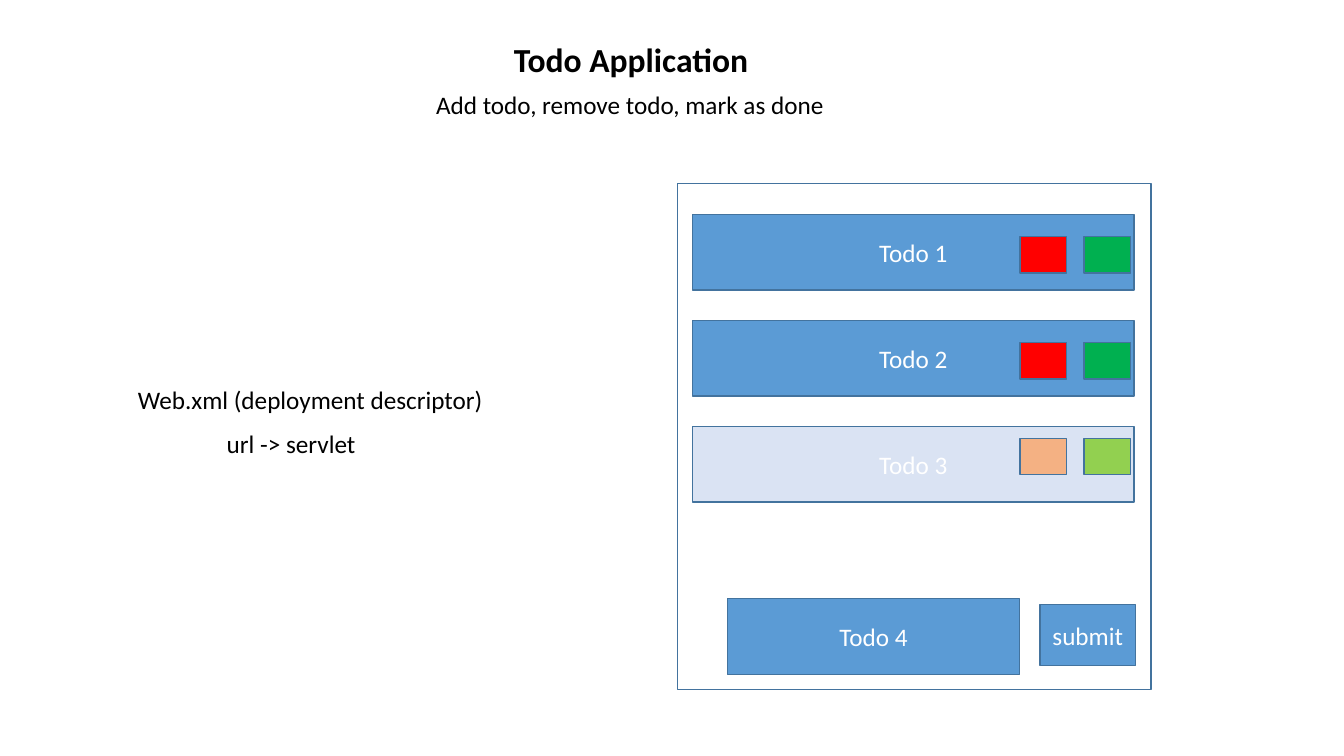
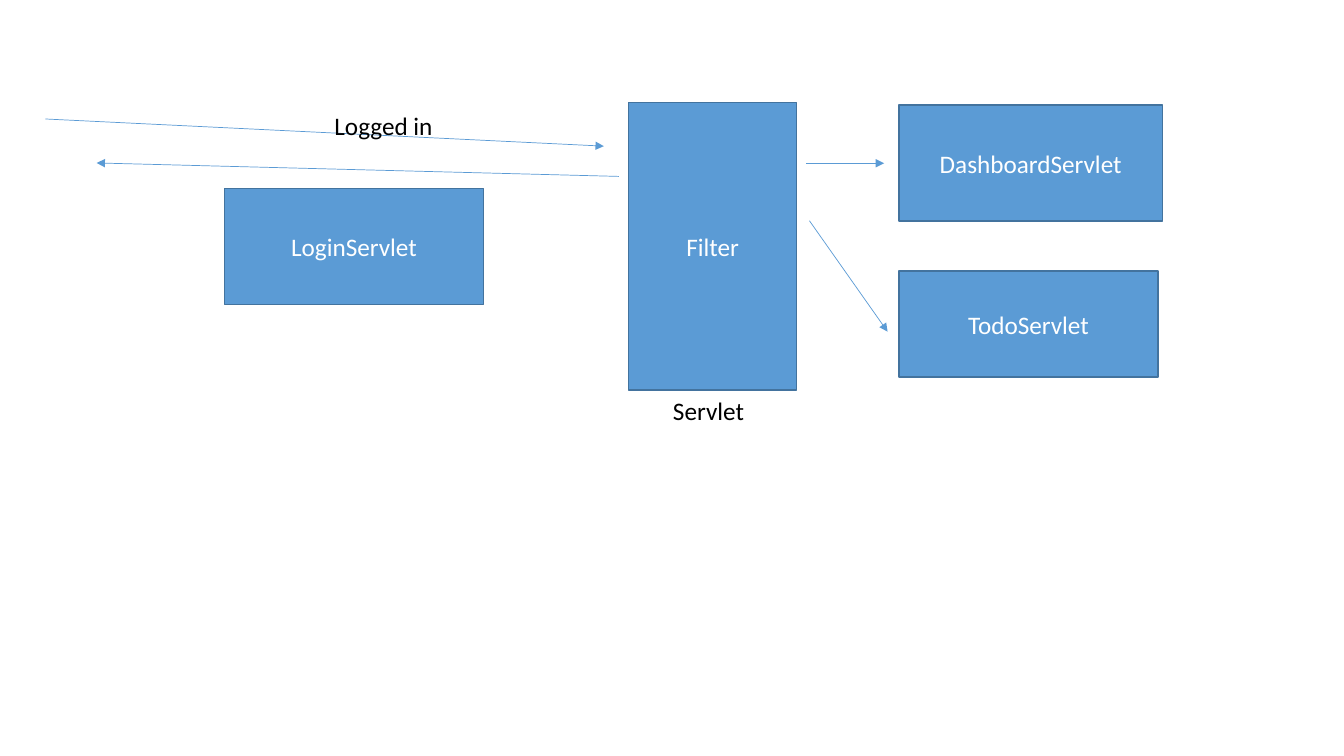
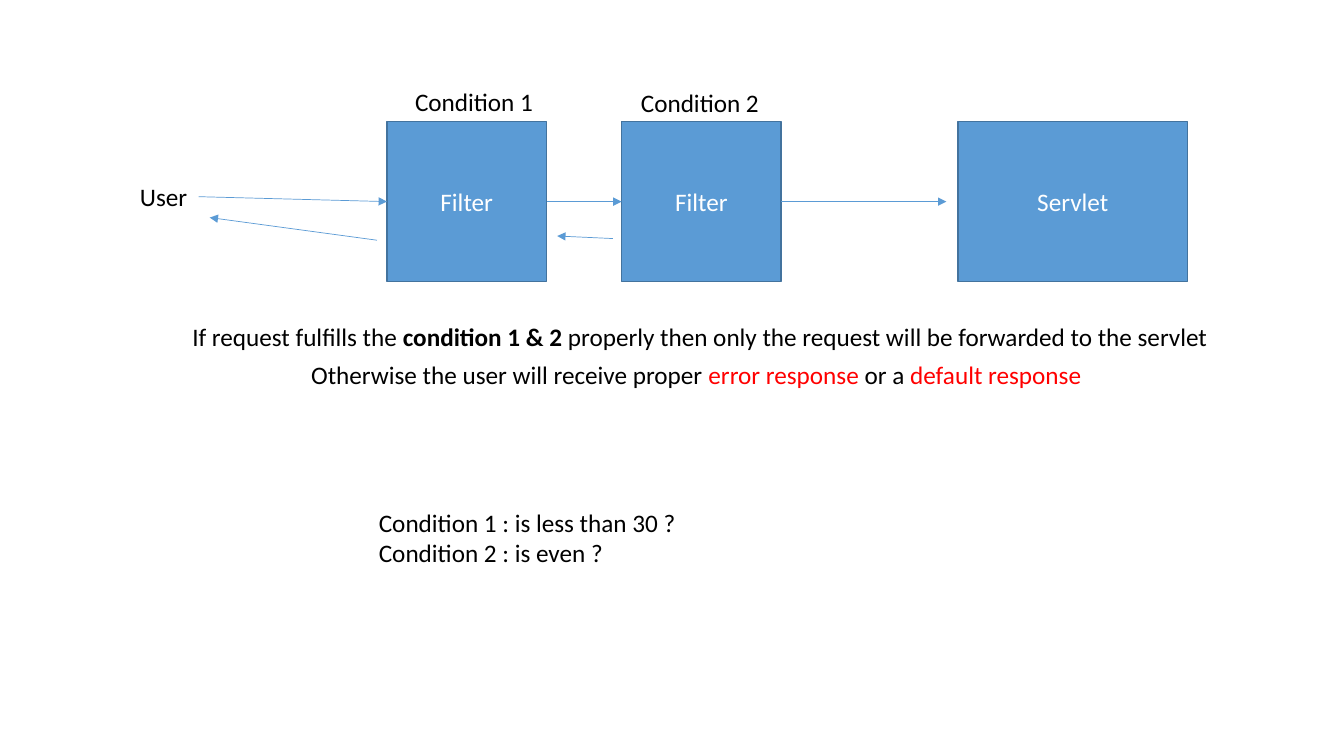
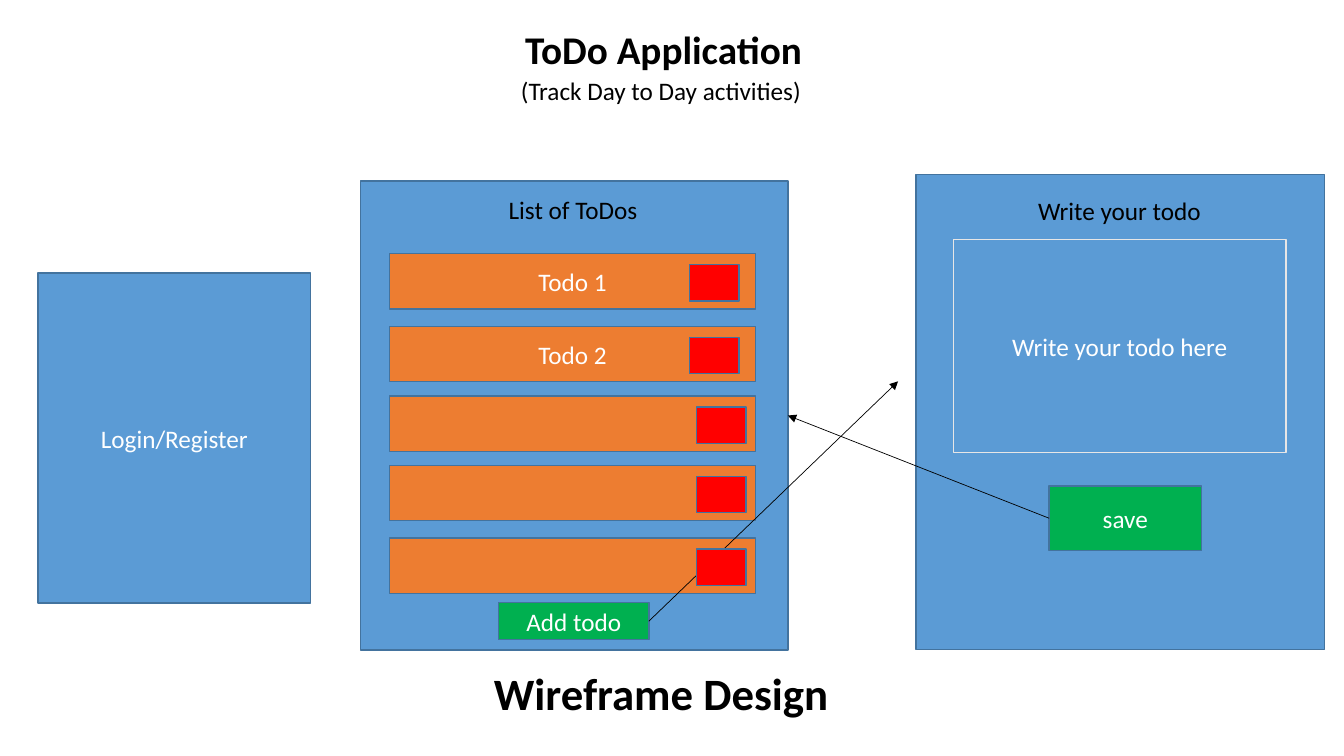
from pptx import Presentation
from pptx.dml.color import RGBColor
from pptx.enum.shapes import MSO_CONNECTOR, MSO_SHAPE
from pptx.enum.text import MSO_ANCHOR, MSO_AUTO_SIZE, PP_ALIGN
from pptx.oxml.ns import qn
from pptx.util import Pt
from lxml.etree import SubElement

FONT = "Calibri"
BODY_SIZE = 18
COLORS = {
    "black": "000000", "white": "FFFFFF", "blue": "5B9BD5", "edge": "43739E",
    "pale_blue": "DAE3F3", "red": "FF0000", "green": "00B050",
    "pale_red": "F4B183", "pale_green": "92D050", "orange": "ED7D31",
    "gray": "E7E6E6",
}
TOP, LEFT, BOTTOM, RIGHT = range(4)


def rgb(name):
    return RGBColor.from_string(COLORS[name])


def style_span(span, color, size=BODY_SIZE, bold=False):
    span.font.name = FONT
    span.font.size = Pt(size)
    span.font.bold = bold
    span.font.color.rgb = rgb(color)


def add_box(page, left, top, width, height, text="", fill="blue", line="edge"):
    """Add an outlined rectangle with centred text; fill None leaves it open."""
    box = page.shapes.add_shape(
        MSO_SHAPE.RECTANGLE, Pt(left), Pt(top), Pt(width), Pt(height))
    box.shadow.inherit = False
    if fill:
        box.fill.solid()
        box.fill.fore_color.rgb = rgb(fill)
    else:
        box.fill.background()
    box.line.color.rgb = rgb(line)
    box.line.width = Pt(1)
    if text:
        frame = box.text_frame
        frame.text = text
        frame.vertical_anchor = MSO_ANCHOR.MIDDLE
        para = frame.paragraphs[0]
        para.alignment = PP_ALIGN.CENTER
        style_span(para.runs[0], "white")
    return box


def add_label(page, left, top, width, *lines, height=29, size=BODY_SIZE, bold=False):
    """Add unwrapped text; a line is a string or a list of (text, color, bold)."""
    label = page.shapes.add_textbox(Pt(left), Pt(top), Pt(width), Pt(height))
    frame = label.text_frame
    frame.word_wrap = False
    frame.auto_size = MSO_AUTO_SIZE.SHAPE_TO_FIT_TEXT
    for index, line in enumerate(lines):
        para = frame.add_paragraph() if index else frame.paragraphs[0]
        pieces = [(line, "black", bold)] if isinstance(line, str) else line
        for text, color, heavy in pieces:
            span = para.add_run()
            span.text = text
            style_span(span, color, size, heavy)
    return label


def add_arrow(page, start, end, color="blue"):
    """Draw an arrow; each end is an (x, y) point or a (shape, side) pair."""
    points = [(Pt(0), Pt(0)) if hasattr(place[0], "shape_id")
              else (Pt(place[0]), Pt(place[1])) for place in (start, end)]
    arrow = page.shapes.add_connector(MSO_CONNECTOR.STRAIGHT, *points[0], *points[1])
    for place, join in ((start, arrow.begin_connect), (end, arrow.end_connect)):
        if hasattr(place[0], "shape_id"):
            join(*place)
    arrow.line.color.rgb = rgb(color)
    arrow.line.width = Pt(0.5)
    line = arrow.line._get_or_add_ln()
    SubElement(line, qn("a:tailEnd"), type="triangle")
    SubElement(arrow._element.spPr, qn("a:effectLst"))
    return arrow


def todo_screen(page, left, top):
    add_box(page, left, top, 338.4, 361.4, fill=None)
    rows = [
        ("Todo 1", "blue", "red", "green", 15.8),
        ("Todo 2", "blue", "red", "green", 15.8),
        ("Todo 3", "pale_blue", "pale_red", "pale_green", 8.6),
    ]
    for index, (text, fill, remove, done, inset) in enumerate(rows):
        row_top = top + 22.3 + index * 75.6
        add_box(page, left + 10.8, row_top, 315.4, 54, text, fill)
        for column, color in enumerate((remove, done)):
            add_box(page, left + 244.8 + column * 45.8, row_top + inset,
                    33.3, 26, fill=color)
    add_box(page, left + 36, top + 296.6, 208.4, 54.4, "Todo 4")
    add_box(page, left + 259, top + 301, 68.4, 43.4, "submit")


def list_panel(page, left, top, arrow_end):
    """Draw the list of todos, with an arrow from its add button to arrow_end."""
    panel = add_box(page, left, top, 305.2, 334.8)
    add_label(page, left + 98.6, top + 5.8, 107.3, "List of ToDos")
    rows = [("Todo 1", 51.8), ("Todo 2", 103.7), ("", 153.4), ("", 203), ("", 255)]
    for text, offset in rows:
        add_box(page, left + 20.7, top + offset, 261.4, 39.6, text, "orange")
    add_button = add_box(page, left + 98.6, top + 301, 107.3, 26.6, "Add todo", "green")
    add_arrow(page, (add_button, RIGHT), arrow_end, "black")
    for index, (text, offset) in enumerate(rows):
        add_box(page, left + (235 if index < 2 else 240), top + offset + 7.8,
                35.3, 26, fill="red")
    return panel


def editor_panel(page, left, top):
    """Draw the writing form and return its save button."""
    add_box(page, left, top, 291.6, 339.2)
    add_label(page, left + 80, top + 10.8, 131.8, "Write your todo")
    add_box(page, left + 26.6, top + 46.5, 237.6, 152, "Write your todo here",
            line="gray")
    return add_box(page, left + 95, top + 222.4, 108.8, 46, "save", "green")


def application_page(page):
    add_label(page, 360, 24, 183.6, "Todo Application", height=36, size=24, bold=True)
    add_label(page, 304.4, 60, 294.5, "Add todo, remove todo, mark as done")
    todo_screen(page, 483.8, 131)
    add_label(page, 91.4, 270.7, 263.5, "Web.xml (deployment descriptor)")
    add_label(page, 154.8, 302.4, 107.3, "url -> servlet")


def login_page(page):
    add_box(page, 160.4, 134.6, 185, 82.8, "LoginServlet")
    add_box(page, 642.2, 75, 188.2, 82.8, "DashboardServlet")
    add_box(page, 642.2, 193.6, 185, 75.8, "TodoServlet")
    add_box(page, 449, 73.4, 120.2, 205.2, "Filter")
    for start, end in (
        ((32.4, 85), (431.3, 104.4)),
        ((442, 126), (69, 116.4)),
        ((576, 116.6), (631.5, 116.6)),
        ((578.2, 157.7), (634, 236.9)),
    ):
        add_arrow(page, start, end)
    add_label(page, 231.8, 75, 85.7, "Logged in")
    add_label(page, 473.6, 278.6, 65.5, "Servlet")


def filter_page(page):
    user = add_label(page, 92.9, 126, 49, "User")
    first = add_box(page, 276.4, 87, 114, 114, "Filter")
    second = add_box(page, 444, 87, 114, 114, "Filter")
    add_box(page, 684.4, 87, 163.8, 114, "Servlet")
    for start, end in (
        ((user, RIGHT), (first, LEFT)),
        ((first, RIGHT), (second, LEFT)),
        ((second, RIGHT), (676, 144)),
        ((437.8, 170.4), (398, 168.6)),
        ((269.3, 171.6), (149.8, 155.4)),
    ):
        add_arrow(page, start, end)
    add_label(page, 289.4, 58.3, 100, "Condition 1")
    add_label(page, 450.7, 59, 100, "Condition 2")
    add_label(page, 130.3, 226, 748.8, [
        ("If request fulfills the ", "black", False),
        ("condition 1 & 2", "black", True),
        (" properly then only the request will be forwarded to the servlet",
         "black", False),
    ])
    add_label(page, 215.2, 253.4, 571, [
        ("Otherwise the user will receive proper ", "black", False),
        ("error response ", "red", False),
        ("or a ", "black", False),
        ("default response", "red", False),
    ])
    add_label(page, 263.5, 358.5, 229.7, "Condition 1 : is less than 30 ?",
              "Condition 2 : is even ?", height=51)


def wireframe_page(page):
    add_label(page, 368, 14.4, 214.6, "ToDo Application", height=41, size=28, bold=True)
    add_label(page, 365, 50.4, 216.7, "(Track Day to Day activities)")
    save_button = editor_panel(page, 654.4, 124.8)
    panel = list_panel(page, 257.6, 129.4, (641.5, 272.4))
    add_arrow(page, (save_button, LEFT), (panel, RIGHT), "black")
    add_box(page, 27.2, 195, 194.6, 235.8, "Login/Register")
    add_label(page, 345.6, 471.6, 255.6, "Wireframe Design", height=46, size=32, bold=True)


def main():
    deck = Presentation()
    deck.slide_width, deck.slide_height = Pt(960), Pt(540)
    for build in (application_page, login_page, filter_page, wireframe_page):
        build(deck.slides.add_slide(deck.slide_layouts[6]))
    deck.save("out.pptx")


if __name__ == "__main__":
    main()
